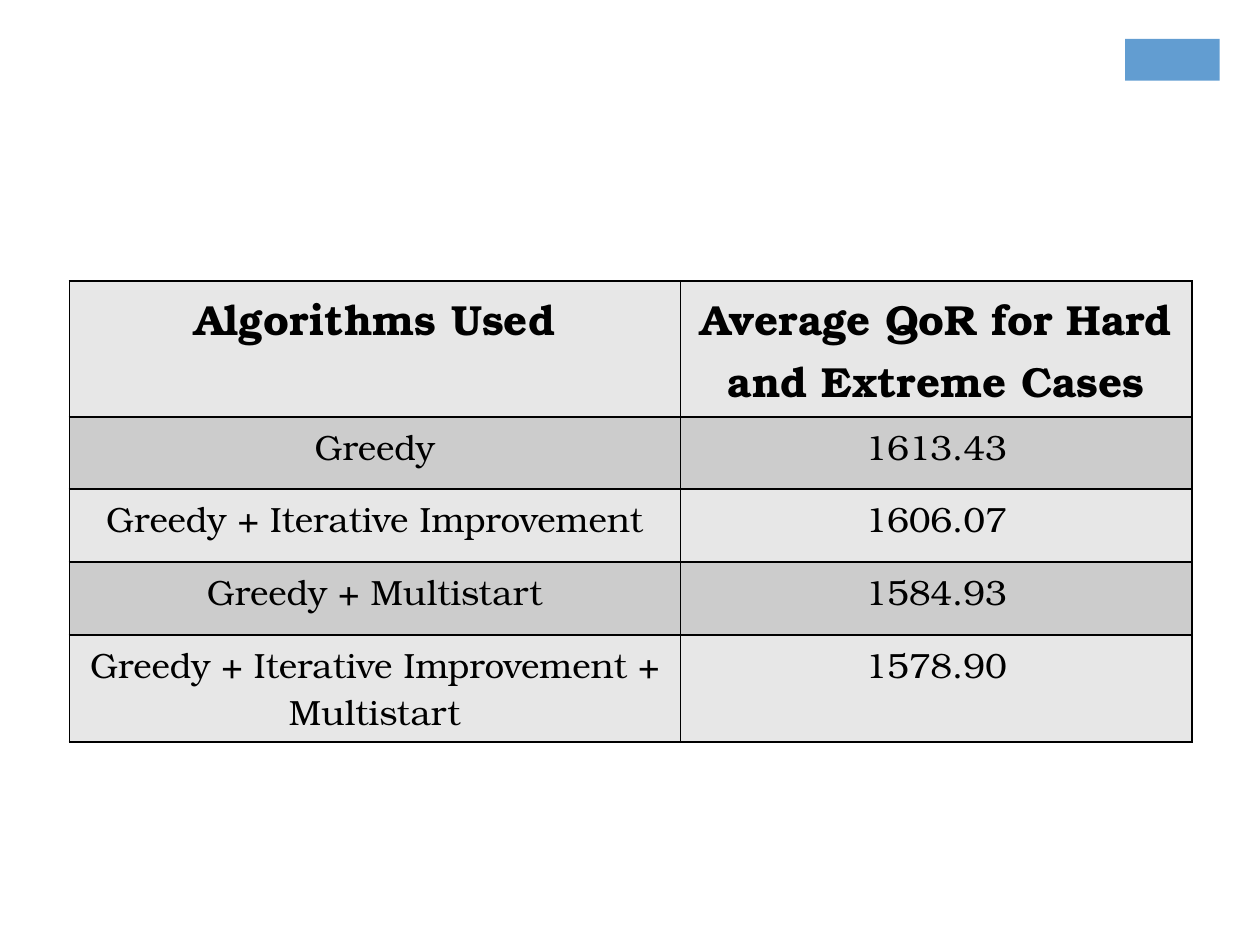
from dataclasses import dataclass

from lxml import etree
from pptx import Presentation
from pptx import util as u
from pptx.dml.color import RGBColor
from pptx.enum import shapes, text
from pptx.oxml.ns import qn

WIDTH, HEIGHT = u.Inches(10), u.Inches(7.5)
FONT = "TeX Gyre Bonum"
COLORS = {
    "accent": "629DD1",
    "light": "E7E7E7",
    "dark": "CCCCCC",
    "ink": "000000",
}


@dataclass(frozen=True)
class Row:
    algorithm: str
    quality: str
    height: float  # inches
    header: bool = False


ROWS = [
    Row("Algorithms Used", "Average QoR for Hard and Extreme Cases", 1.08, True),
    Row("Greedy", "1613.43", 0.57),
    Row("Greedy + Iterative Improvement", "1606.07", 0.58),
    Row("Greedy + Multistart", "1584.93", 0.58),
    Row("Greedy + Iterative Improvement + Multistart", "1578.90", 0.85),
]
COLUMN_SHARES = (0.485, 0.406)  # of the slide width


def rgb(name: str) -> RGBColor:
    return RGBColor.from_string(COLORS[name])


def add_borders(cell, color: str, width: float) -> None:
    """Line all four sides; borders must precede the fill in tcPr."""
    tc_pr = cell._tc.get_or_add_tcPr()
    for i, side in enumerate(("lnL", "lnR", "lnT", "lnB")):
        ln = etree.Element(qn(f"a:{side}"), w=str(u.Pt(width)))
        fill = etree.SubElement(ln, qn("a:solidFill"))
        etree.SubElement(fill, qn("a:srgbClr"), val=COLORS[color])
        tc_pr.insert(i, ln)


def fill_cell(cell, content: str, row: Row, fill: str) -> None:
    cell.fill.solid()
    cell.fill.fore_color.rgb = rgb(fill)
    add_borders(cell, "ink", 1)
    cell.text = content
    p = cell.text_frame.paragraphs[0]
    p.alignment = text.PP_ALIGN.CENTER
    p.font.name = FONT
    p.font.size = u.Pt(24 if row.header else 20)
    p.font.bold = row.header
    p.font.color.rgb = rgb("ink")


def add_corner_block(slide) -> None:
    sp = slide.shapes.add_shape(
        shapes.MSO_SHAPE.RECTANGLE,
        u.Inches(8.93), u.Inches(0.31), u.Inches(0.75), u.Inches(0.33))
    sp.shadow.inherit = False
    sp.fill.solid()
    sp.fill.fore_color.rgb = rgb("accent")
    sp.line.fill.background()


def add_results_table(slide) -> None:
    widths = [int(WIDTH * share) for share in COLUMN_SHARES]
    heights = [u.Inches(row.height) for row in ROWS]
    table = slide.shapes.add_table(
        len(ROWS), len(widths), u.Inches(0.55), u.Inches(2.23),
        sum(widths), sum(heights)).table
    for column, width in zip(table.columns, widths):
        column.width = width
    for i, row in enumerate(ROWS):
        table.rows[i].height = heights[i]
        fill = "dark" if i % 2 else "light"
        for j, content in enumerate((row.algorithm, row.quality)):
            fill_cell(table.cell(i, j), content, row, fill)


def main() -> None:
    prs = Presentation()
    prs.slide_width, prs.slide_height = WIDTH, HEIGHT
    slide = prs.slides.add_slide(prs.slide_layouts[6])

    # Corner accent
    add_corner_block(slide)

    # Comparison of algorithms
    add_results_table(slide)

    prs.save("out.pptx")


if __name__ == "__main__":
    main()
